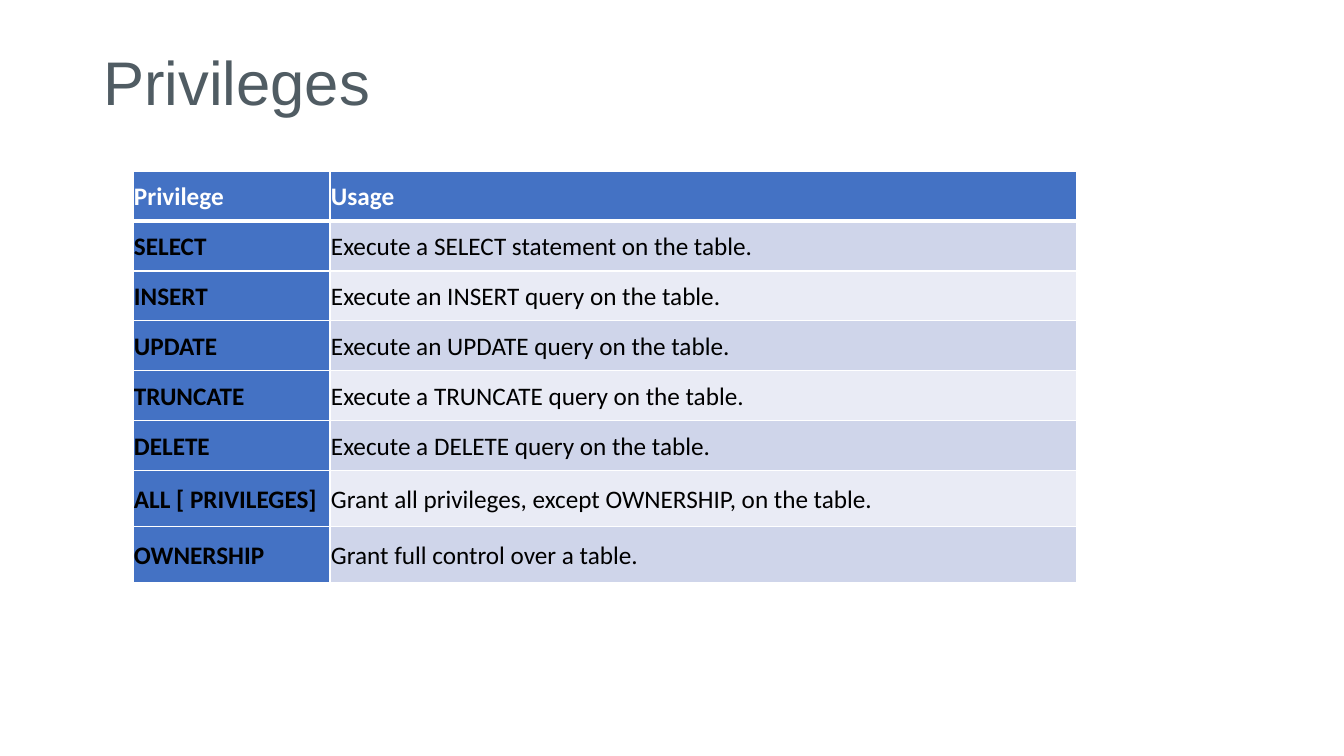
from lxml.etree import SubElement
from pptx import Presentation
from pptx.dml.color import RGBColor
from pptx.enum.text import MSO_ANCHOR, PP_ALIGN
from pptx.oxml.ns import qn
from pptx.util import Emu, Pt

COLORS = {
    "title": "505C63",
    "white": "FFFFFF",
    "black": "000000",
    "accent": "4472C4",
    "band_dark": "CFD5EA",
    "band_light": "E9EBF5",
}
SLIDE_SIZE = (1344, 756)
TITLE_BOX = (93, 34, 1159, 103)
TABLE_BOX = (133, 171, 944, 412)
NAME_WIDTH = 197
ROW_HEIGHT, TALL_ROW_HEIGHT = 50, 56
TALL_ROWS = 2
CELL_INSET = 1

PRIVILEGES = [
    ("Privilege", "Usage"),
    ("SELECT", "Execute a SELECT statement on the table."),
    ("INSERT", "Execute an INSERT query on the table."),
    ("UPDATE", "Execute an UPDATE query on the table."),
    ("TRUNCATE", "Execute a TRUNCATE query on the table."),
    ("DELETE", "Execute a DELETE query on the table."),
    ("ALL [ PRIVILEGES]", "Grant all privileges, except OWNERSHIP, on the table."),
    ("OWNERSHIP", "Grant full control over a table."),
]

TITLE_PARAGRAPH = {"alignment": PP_ALIGN.LEFT, "line_spacing": 0.9}
TITLE_FONT = {"name": "Arial", "size": Pt(44), "bold": False}
CELL_PARAGRAPH = {"line_spacing": 1.07, "space_after": Pt(8)}
CELL_FONT = {"name": "Calibri", "size": Pt(18)}


def px(length):
    return Emu(round(length * 914400 / 100.8))


def set_all(target, values):
    for name, value in values.items():
        setattr(target, name, value)


def write_text(text_frame, text, paragraph_format, font_format, color):
    text_frame.text = text
    paragraph = text_frame.paragraphs[0]
    set_all(paragraph, paragraph_format)
    font = paragraph.runs[0].font
    set_all(font, font_format)
    font.color.rgb = RGBColor.from_string(COLORS[color])


def add_title(slide, box):
    title = slide.shapes.title
    set_all(title, dict(zip(("left", "top", "width", "height"), map(px, box))))
    title.text_frame.vertical_anchor = MSO_ANCHOR.MIDDLE
    write_text(title.text_frame, "Privileges", TITLE_PARAGRAPH, TITLE_FONT, "title")


def set_borders(cell, widths):
    """Draw white borders; widths maps L, R, T and B, in that order, to points."""
    properties = cell._tc.get_or_add_tcPr()
    for position, (side, width) in enumerate(widths.items()):
        line = SubElement(properties, qn(f"a:ln{side}"), w=str(Pt(width)))
        fill = SubElement(line, qn("a:solidFill"))
        SubElement(fill, qn("a:srgbClr"), val=COLORS["white"])
        properties.insert(position, line)


def format_cell(cell, text, row, column):
    is_header, is_name = row == 0, column == 0
    band = "band_dark" if row % 2 else "band_light"
    margins = ("margin_left", "margin_right", "margin_top", "margin_bottom")
    set_all(cell, dict.fromkeys(margins, px(CELL_INSET)))
    cell.vertical_anchor = MSO_ANCHOR.MIDDLE
    cell.fill.solid()
    fill_color = "accent" if is_header or is_name else band
    cell.fill.fore_color.rgb = RGBColor.from_string(COLORS[fill_color])
    set_borders(cell, {"L": 1, "R": 1, "T": 3 if row == 1 else 1, "B": 3 if is_header else 1})
    font_format = {**CELL_FONT, "bold": is_header or is_name}
    write_text(cell.text_frame, text, CELL_PARAGRAPH, font_format,
               "white" if is_header else "black")


def add_privilege_table(slide, box):
    width = box[2]
    table = slide.shapes.add_table(len(PRIVILEGES), 2, *map(px, box)).table
    table.columns[0].width = px(NAME_WIDTH)
    table.columns[1].width = px(width - NAME_WIDTH)
    first_tall_row = len(PRIVILEGES) - TALL_ROWS
    for row, texts in enumerate(PRIVILEGES):
        table.rows[row].height = px(TALL_ROW_HEIGHT if row >= first_tall_row else ROW_HEIGHT)
        for column, text in enumerate(texts):
            format_cell(table.cell(row, column), text, row, column)


def main():
    presentation = Presentation()
    presentation.slide_width, presentation.slide_height = map(px, SLIDE_SIZE)
    slide = presentation.slides.add_slide(presentation.slide_layouts.get_by_name("Title Only"))
    add_title(slide, TITLE_BOX)
    add_privilege_table(slide, TABLE_BOX)
    presentation.save("out.pptx")


if __name__ == "__main__":
    main()
